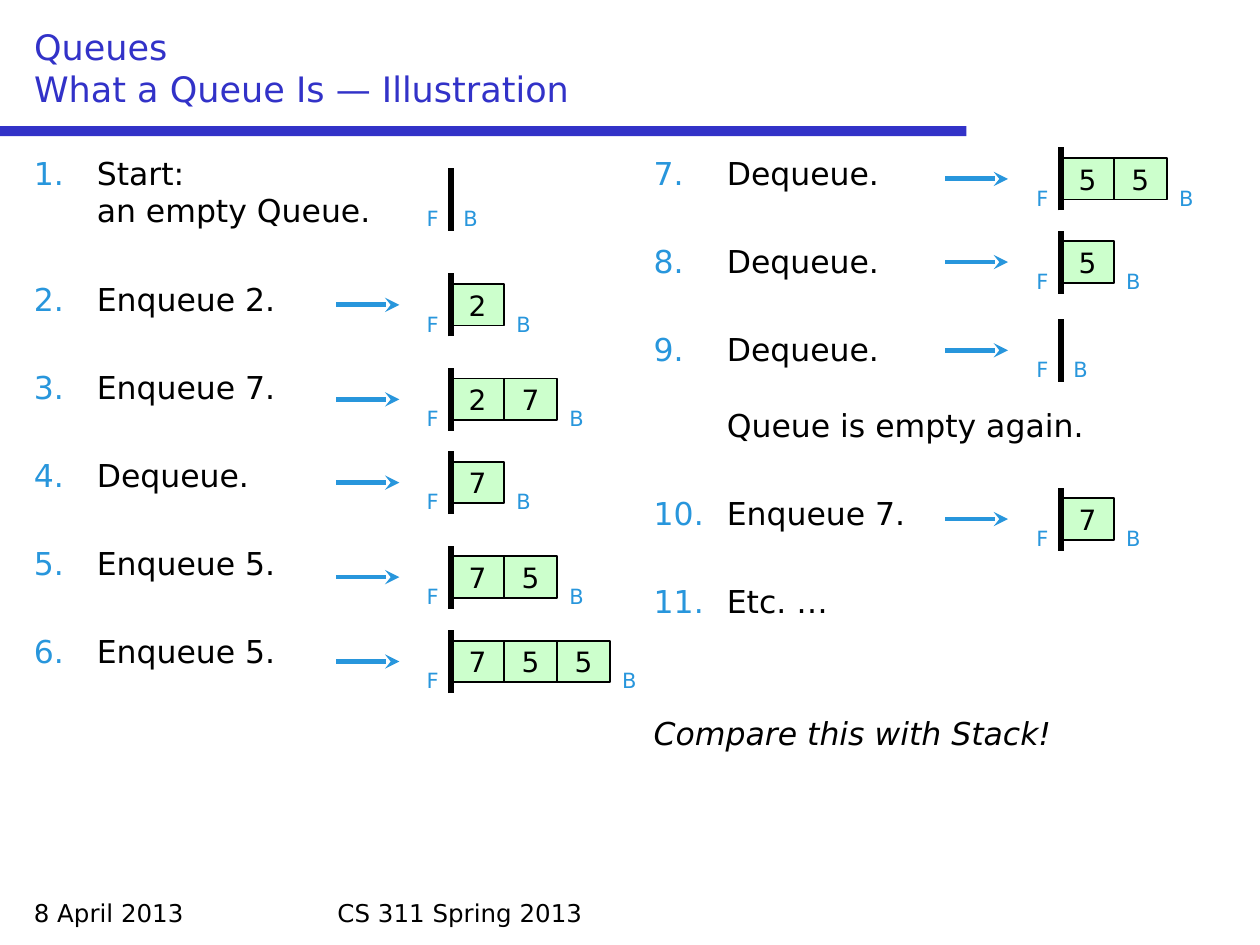
import pptx
import pptx.util
import pptx.dml.color
import pptx.enum.shapes
import pptx.enum.text
import pptx.oxml.ns
from lxml import etree

Inches, Pt = pptx.util.Inches, pptx.util.Pt
SHAPE = pptx.enum.shapes.MSO_SHAPE
ANCHOR = pptx.enum.text.MSO_ANCHOR
ALIGN = pptx.enum.text.PP_ALIGN
qn = pptx.oxml.ns.qn

FONT = "DejaVu Sans"
COLORS = {"title": "3232C8", "accent": "2896DC", "cell": "CCFFCC", "ink": "000000"}

# Content
TITLE = "Queues\vWhat a Queue Is — Illustration"
FOOTERS = [("8 April 2013", 0.17, 2.33), ("CS 311 Spring 2013", 2.58, 4.83)]
STEP_GAP, NOTE_GAP, REMARK_GAP = 28.8, 21.6, 54

# Each line: text, number its list starts at (None: unnumbered), space before
COLUMNS = [
    {"left": 0.17, "indent": 0.5, "lines": [
        ("Start:\van empty Queue.", 1, 0),
        ("Enqueue 2.", 1, STEP_GAP),
        ("Enqueue 7.", 1, STEP_GAP),
        ("Dequeue.", 1, STEP_GAP),
        ("Enqueue 5.", 1, STEP_GAP),
        ("Enqueue 5.", 1, STEP_GAP)]},
    {"left": 5.09, "indent": 0.58, "lines": [
        ("Dequeue.", 7, 0),
        ("Dequeue.", 7, STEP_GAP),
        ("Dequeue.", 7, STEP_GAP),
        ("Queue is empty again.", None, NOTE_GAP),
        ("Enqueue 7.", 10, STEP_GAP),
        ("Etc. …", 10, STEP_GAP)],
     "remark": "Compare this with Stack!"},
]

# Each queue: middle height, values from front to back, whether an arrow leads to it
QUEUES = [
    {"arrow": 2.67, "front": 3.58, "states": [
        (1.58, "", False), (2.42, "2", True), (3.17, "27", True),
        (3.83, "7", True), (4.58, "75", True), (5.25, "755", True)]},
    {"arrow": 7.5, "front": 8.42, "states": [
        (1.42, "55", True), (2.08, "5", True), (2.78, "", True), (4.12, "7", True)]},
]
CELL_WIDTH, CELL_HEIGHT = 0.42, 0.33
LABEL_WIDTH, LABEL_HEIGHT = 0.33, 0.3
ARROW_LENGTH, HALF_BAR = 0.5, 0.25


def color(name):
    return pptx.dml.color.RGBColor.from_string(COLORS[name])


def style(para, size, name, align=ALIGN.LEFT, italic=False):
    para.alignment = align
    for font in [para.font] + [span.font for span in para.runs]:
        font.size, font.name, font.italic = Pt(size), FONT, italic
        font.color.rgb = color(name)


def add_text(slide, text, left, top, width, height, size, name, align=ALIGN.LEFT):
    box = slide.shapes.add_textbox(Inches(left), Inches(top), Inches(width), Inches(height))
    box.text_frame.word_wrap = True
    box.text_frame.text = text
    style(box.text_frame.paragraphs[0], size, name, align)


def add_line(slide, start, end, name, width, arrow=False):
    line = slide.shapes.add_connector(
        pptx.enum.shapes.MSO_CONNECTOR.STRAIGHT, *map(Inches, start + end))
    line.line.color.rgb = color(name)
    line.line.width = Pt(width)
    if arrow:
        etree.SubElement(line.line._get_or_add_ln(), qn("a:tailEnd"), type="stealth")
    etree.SubElement(line._element.spPr, qn("a:effectLst"))


def add_rectangle(slide, left, top, width, height, fill):
    box = slide.shapes.add_shape(
        SHAPE.RECTANGLE, Inches(left), Inches(top), Inches(width), Inches(height))
    box.shadow.inherit = False
    box.fill.solid()
    box.fill.fore_color.rgb = color(fill)
    return box


def set_indent(para, indent, start):
    """Indent the paragraph; hang a coloured number if start is given."""
    props = para._p.get_or_add_pPr()
    props.set("marL", str(Inches(indent)))
    props.set("indent", str(-Inches(indent) if start else 0))
    if start:
        tint = etree.SubElement(props, qn("a:buClr"))
        etree.SubElement(tint, qn("a:srgbClr"), val=COLORS["accent"])
        etree.SubElement(props, qn("a:buAutoNum"), type="arabicPeriod", startAt=str(start))
    else:
        etree.SubElement(props, qn("a:buNone"))


def add_column(slide, column):
    box = slide.shapes.add_textbox(
        Inches(column["left"]), Inches(1.17), Inches(4.74), Inches(5.83))
    frame = box.text_frame
    frame.word_wrap = True
    for index, (text, start, gap) in enumerate(column["lines"]):
        para = frame.add_paragraph() if index else frame.paragraphs[0]
        para.text = text
        set_indent(para, column["indent"], start)
        para.space_before = Pt(gap)
        style(para, 18, "ink")
    if "remark" in column:
        para = frame.add_paragraph()
        para.text = column["remark"]
        para.space_before = Pt(REMARK_GAP)
        style(para, 18, "ink", italic=True)


def add_queue(slide, front, middle, values):
    for index, value in enumerate(values):
        cell = add_rectangle(slide, front + index * CELL_WIDTH, middle - CELL_HEIGHT / 2,
                             CELL_WIDTH, CELL_HEIGHT, "cell")
        cell.line.color.rgb = color("ink")
        cell.line.width = Pt(1)
        cell.text_frame.word_wrap = False
        cell.text_frame.vertical_anchor = ANCHOR.MIDDLE
        cell.text_frame.text = value
        style(cell.text_frame.paragraphs[0], 16, "ink", ALIGN.CENTER)
    back = front + len(values) * CELL_WIDTH
    for text, left, align in [("F", front - LABEL_WIDTH, ALIGN.RIGHT), ("B", back, ALIGN.LEFT)]:
        add_text(slide, text, left, middle, LABEL_WIDTH, LABEL_HEIGHT, 12, "accent", align)
    add_line(slide, (front, middle + HALF_BAR), (front, middle - HALF_BAR), "ink", 3)


def main():
    deck = pptx.Presentation()
    deck.slide_width, deck.slide_height = Inches(10), Inches(7.5)
    slide = deck.slides.add_slide(deck.slide_layouts[5])

    # Title and rule
    add_rectangle(slide, 0, 1, 7.67, 0.08, "title").line.fill.background()
    title = slide.shapes.title
    title.left, title.top = Inches(0.17), Inches(0.17)
    title.width, title.height = Inches(9.67), Inches(0.75)
    title.text_frame.text = TITLE
    title.text_frame.vertical_anchor = ANCHOR.BOTTOM
    style(title.text_frame.paragraphs[0], 20, "title")

    # Footers
    for text, left, width in FOOTERS:
        add_text(slide, text, left, 7.08, width, 0.33, 14, "ink")

    # Numbered steps
    for column in COLUMNS:
        add_column(slide, column)

    # Queue states
    for group in QUEUES:
        for middle, values, has_arrow in group["states"]:
            if has_arrow:
                add_line(slide, (group["arrow"], middle),
                         (group["arrow"] + ARROW_LENGTH, middle), "accent", 2.75, arrow=True)
            add_queue(slide, group["front"], middle, values)

    deck.save("out.pptx")


if __name__ == "__main__":
    main()
